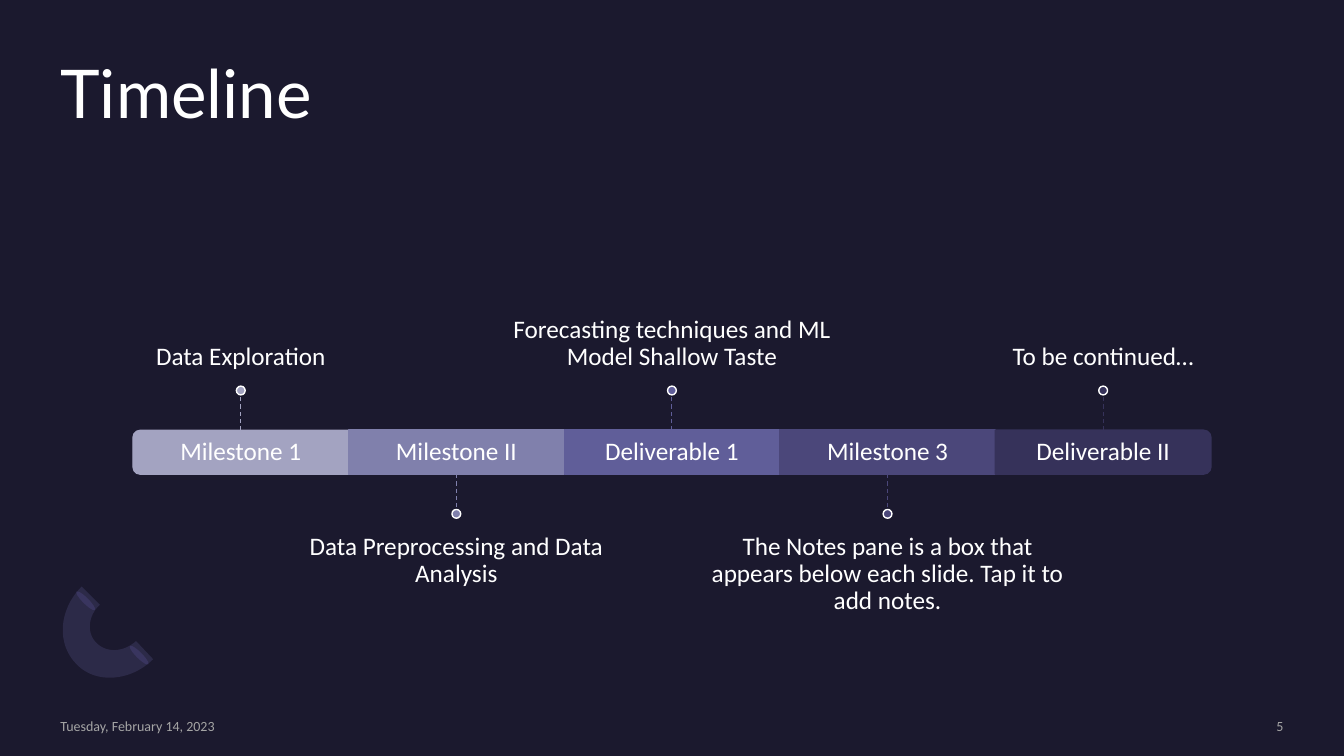
from lxml.etree import SubElement
from pptx import Presentation
from pptx.dml.color import RGBColor
from pptx.enum.dml import MSO_LINE
from pptx.enum.shapes import MSO_CONNECTOR, MSO_SHAPE
from pptx.enum.text import MSO_ANCHOR, PP_ALIGN
from pptx.oxml.ns import qn
from pptx.util import Pt

TITLE = "Timeline"
DATE = "Tuesday, February 14, 2023"
PAGE = "5"
# name, description, colour; descriptions alternate above and below the bar
STAGES = [
    ("Milestone 1", "Data Exploration", "A3A3C1"),
    ("Milestone II", "Data Preprocessing and Data Analysis", "8080AC"),
    ("Deliverable 1", "Forecasting techniques and ML Model Shallow Taste", "605E99"),
    ("Milestone 3", "The Notes pane is a box that appears below each slide. "
                    "Tap it to add notes.", "4B477A"),
    ("Deliverable II", "To be continued…", "36325A"),
]
# Bent ring: a start point, then lines (one point) and Bézier curves (three points)
RING_START = (54.7, 474.5)
RING = [
    [(40.3, 460.1), (41.8, 435.6), (58.3, 419)],
    [(71.3, 432)],
    [(62.6, 439.9), (61.9, 452.9), (69.1, 459.4)],
    [(76.3, 466.6), (88.6, 465.8), (97.2, 457.9)],
    [(109.4, 470.9)],
    [(93.6, 486.7), (68.4, 488.9), (54.7, 474.5)],
]
RING_ENDS = [(99.4, 468), (61.2, 429.1)]


class Theme:
    background = "1B192E"
    text = "FFFFFF"
    muted = "A5A5A5"
    ring = "746EB3"
    ring_alpha = 20
    ring_end = "2B274A"
    title_font, body_font = "Lato", "Calibri"
    title_size, body_size, footer_size = 48, 18, 10


SLIDE_W, SLIDE_H = 960, 540
MARGIN = 43.2
CONTENT_W = SLIDE_W - 2 * MARGIN
SEGMENT_W, BAR_H = 154, 31.4
BAR_MID = 323
STEM, DOT = 25.2, 6.3
LABEL_W, LABEL_H = 257, 109.5
PAD = 10.8
FOOTER_Y, FOOTER_H = 512.6, 12.2


def rgb(code):
    return RGBColor.from_string(code)


def add_text(s, text, box, size=Theme.body_size, color=Theme.text,
             font=Theme.body_font, align=PP_ALIGN.CENTER,
             anchor=MSO_ANCHOR.MIDDLE, insets=(0, 0, 0, 0), spacing=0.9):
    """Insets run left, top, right, bottom."""
    tf = s.shapes.add_textbox(*map(Pt, box)).text_frame
    tf.word_wrap = True
    tf.vertical_anchor = anchor
    tf.margin_left, tf.margin_top, tf.margin_right, tf.margin_bottom = map(Pt, insets)
    tf.text = text
    p = tf.paragraphs[0]
    p.alignment = align
    p.line_spacing = spacing
    r = p.runs[0]
    r.font.name = font
    r.font.size = Pt(size)
    r.font.color.rgb = rgb(color)


def paint(sp, fill, line=None):
    sp.shadow.inherit = False
    sp.fill.solid()
    sp.fill.fore_color.rgb = rgb(fill)
    if line:
        sp.line.color.rgb = rgb(line)
        sp.line.width = Pt(1)
    else:
        sp.line.fill.background()


def add_centered(s, kind, x, y, w, h):
    return s.shapes.add_shape(kind, Pt(x - w / 2), Pt(y - h / 2), Pt(w), Pt(h))


def curve_points(controls, steps=16):
    """Points along a line or cubic Bézier curve, without its first point."""
    if len(controls) == 2:
        return controls[1:]
    points = []
    for i in range(1, steps + 1):
        t = i / steps
        weights = ((1 - t) ** 3, 3 * t * (1 - t) ** 2, 3 * t * t * (1 - t), t ** 3)
        points.append(tuple(sum(w * c[axis] for w, c in zip(weights, controls))
                            for axis in (0, 1)))
    return points


def add_ring(s):
    for x, y in RING_ENDS:
        sp = add_centered(s, MSO_SHAPE.OVAL, x, y, 4.3, 18.7)
        sp.rotation = 315
        paint(sp, Theme.ring_end)
    outline, last = [], RING_START
    for controls in RING:
        outline += curve_points([last, *controls])
        last = controls[-1]
    builder = s.shapes.build_freeform(*map(Pt, RING_START), scale=1.0)
    builder.add_line_segments([(Pt(x), Pt(y)) for x, y in outline], close=True)
    sp = builder.convert_to_shape()
    paint(sp, Theme.ring)
    clr = sp.fill._xPr.find(qn("a:solidFill"))[0]
    SubElement(clr, qn("a:alpha"), val=str(Theme.ring_alpha * 1000))


def add_segment(s, x, color, turn):
    """A square bar segment, or a rounded end cap when turned."""
    if turn is None:
        sp = add_centered(s, MSO_SHAPE.RECTANGLE, x, BAR_MID, SEGMENT_W, BAR_H)
    else:
        sp = add_centered(s, MSO_SHAPE.ROUND_2_SAME_RECTANGLE, x, BAR_MID,
                          BAR_H, SEGMENT_W)
        sp.adjustments[0] = 0.167
        sp.rotation = turn
    paint(sp, color, color)
    return sp


def add_stage(s, index, name, description, color):
    x = SLIDE_W / 2 + (index - (len(STAGES) - 1) / 2) * SEGMENT_W
    above = index % 2 == 0
    way = -1 if above else 1
    turn = {0: 270, len(STAGES) - 1: 90}.get(index)

    segment = add_segment(s, x, color, turn)
    add_text(s, name, (x - SEGMENT_W / 2, BAR_MID - BAR_H / 2, SEGMENT_W, BAR_H),
             insets=(PAD,) * 4)

    edge = BAR_MID + way * BAR_H / 2
    tip = edge + way * STEM
    label_edge = tip + way * DOT
    add_text(s, description,
             (x - LABEL_W / 2, label_edge - (LABEL_H if above else 0), LABEL_W, LABEL_H),
             anchor=MSO_ANCHOR.BOTTOM if above else MSO_ANCHOR.TOP,
             insets=(0, 0, 0, PAD) if above else (0, PAD, 0, 0))

    stem = s.shapes.add_connector(MSO_CONNECTOR.STRAIGHT, Pt(x), Pt(edge), Pt(x), Pt(tip))
    if turn is None:
        stem.begin_connect(segment, 0 if above else 2)
    stem.line.color.rgb = rgb(color)
    stem.line.width = Pt(0.75)
    stem.line.dash_style = MSO_LINE.DASH
    SubElement(stem._element.spPr, qn("a:effectLst"))

    dot = add_centered(s, MSO_SHAPE.OVAL, x, tip + way * DOT / 2, DOT, DOT)
    paint(dot, color, Theme.text)


def main():
    prs = Presentation()
    prs.slide_width, prs.slide_height = Pt(SLIDE_W), Pt(SLIDE_H)
    s = prs.slides.add_slide(prs.slide_layouts[6])
    s.background.fill.solid()
    s.background.fill.fore_color.rgb = rgb(Theme.background)

    add_ring(s)
    add_text(s, TITLE, (MARGIN, MARGIN, CONTENT_W, 105), Theme.title_size,
             font=Theme.title_font, align=PP_ALIGN.LEFT, anchor=MSO_ANCHOR.TOP)
    for index, stage in enumerate(STAGES):
        add_stage(s, index, *stage)
    for text, x, w, align in [
        (DATE, MARGIN, 207, PP_ALIGN.LEFT),
        (PAGE, SLIDE_W - MARGIN - 133, 133, PP_ALIGN.RIGHT),
    ]:
        add_text(s, text, (x, FOOTER_Y, w, FOOTER_H), Theme.footer_size,
                 Theme.muted, align=align, spacing=1.0)
    prs.save("out.pptx")


if __name__ == "__main__":
    main()
